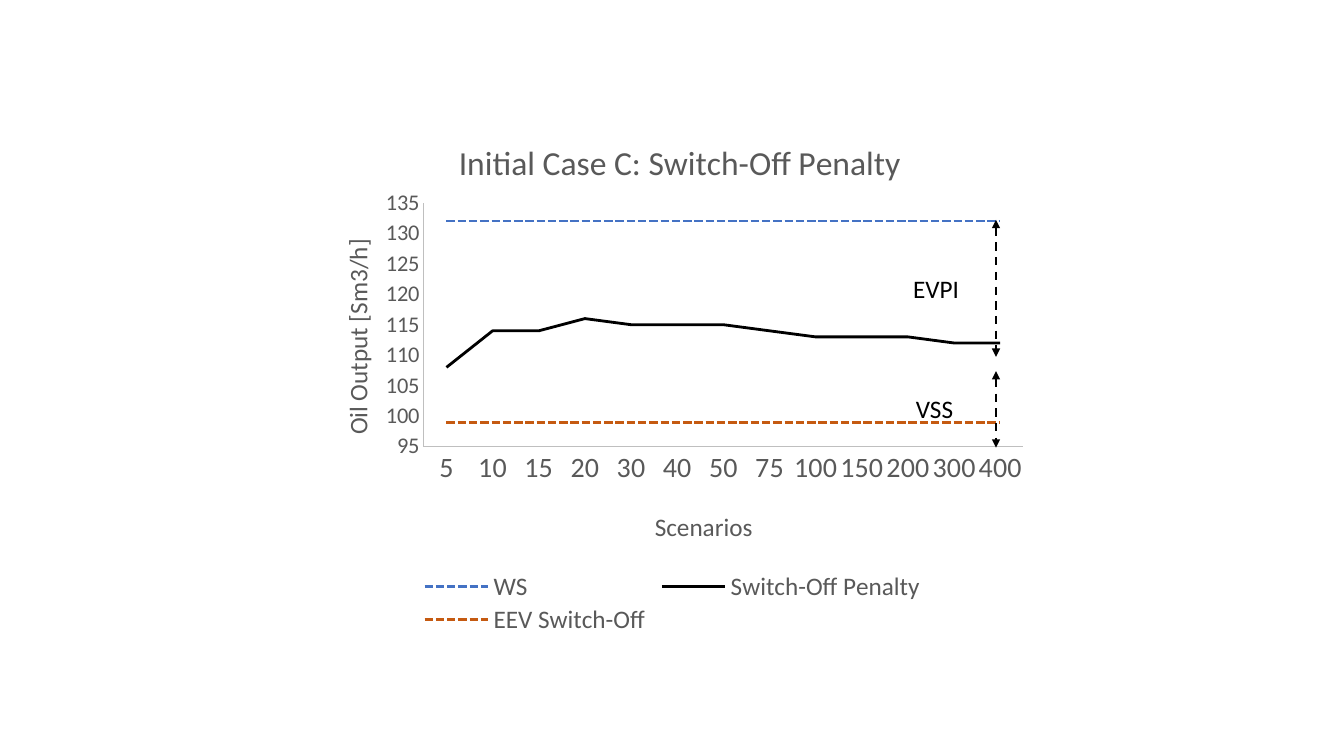
from lxml import etree
from pptx import Presentation
from pptx.chart.data import CategoryChartData
from pptx.dml.color import RGBColor
from pptx.enum.chart import XL_CHART_TYPE, XL_LEGEND_POSITION, XL_TICK_MARK
from pptx.enum.dml import MSO_LINE
from pptx.enum.shapes import MSO_CONNECTOR
from pptx.enum.text import MSO_ANCHOR
from pptx.oxml import parse_xml
from pptx.oxml.ns import nsdecls, qn
from pptx.util import Cm, Pt

LINE_CHART = XL_CHART_TYPE.LINE
BOTTOM = XL_LEGEND_POSITION.BOTTOM
NO_TICK = XL_TICK_MARK.NONE
SHORT_DASH, DASH = MSO_LINE.SQUARE_DOT, MSO_LINE.DASH
STRAIGHT = MSO_CONNECTOR.STRAIGHT
MIDDLE = MSO_ANCHOR.MIDDLE

# Content
FONT = "Calibri"
BLACK, GREY, AXIS_GREY = "000000", "595959", "BFBFBF"
SCENARIOS = [5, 10, 15, 20, 30, 40, 50, 75, 100, 150, 200, 300, 400]
PENALTY = [108, 114, 114, 116, 115, 115, 115, 114, 113, 113, 113, 112, 112]
SERIES = [  # name, values, colour, dash
    ("WS", [132] * len(SCENARIOS), "4472C4", SHORT_DASH),
    ("Switch-Off Penalty", PENALTY, BLACK, None),
    ("EEV Switch-Off", [99] * len(SCENARIOS), "C55A11", SHORT_DASH),
]
GAP_X = 25.1
GAPS = [  # label, label left and top, arrow top and bottom (cm)
    ("EVPI", 22.76, 6.73, 5.54, 8.99),
    ("VSS", 22.83, 9.75, 9.35, 11.28),
]


def colour(value):
    return RGBColor.from_string(value)


def style_font(font, size, value=GREY):
    font.name, font.size, font.bold = FONT, Pt(size), False
    font.color.rgb = colour(value)


def style_line(line, value, width, dash=None):
    line.color.rgb = colour(value)
    line.width = Pt(width)
    if dash is not None:
        line.dash_style = dash


def write(frame, text, size, value=GREY):
    run = frame.paragraphs[0].add_run()
    run.text = text
    style_font(run.font, size, value)


def place(element, index, x, y, w=None, h=None, inner=False):
    """Fix a chart part at fractions of the chart's size."""
    for old in element.findall(qn("c:layout")):
        element.remove(old)
    layout = parse_xml(f"<c:layout {nsdecls('c')}><c:manualLayout/></c:layout>")
    settings = [("layoutTarget", "inner" if inner else None),
                ("xMode", "edge"), ("yMode", "edge"),
                ("x", x), ("y", y), ("w", w), ("h", h)]
    for tag, setting in settings:
        if setting is not None:
            etree.SubElement(layout[0], qn("c:" + tag)).set("val", str(setting))
    element.insert(index, layout)


def add_title(title, text, size, x, y):
    write(title.text_frame, text, size)
    place(title._element, 1, x, y)


prs = Presentation()
prs.slide_width, prs.slide_height = Cm(33.87), Cm(19.05)
slide = prs.slides.add_slide(prs.slide_layouts[6])

# Chart and series
data = CategoryChartData()
data.categories = [str(count) for count in SCENARIOS]
for name, values, _, _ in SERIES:
    data.add_series(name, values)
chart = slide.shapes.add_chart(LINE_CHART, Cm(7.72), Cm(2.84), Cm(18.44),
                               Cm(13.36), data).chart
style_font(chart.font, 10, BLACK)
plot = chart.plots[0]
plot.vary_by_categories = False
for series, (_, _, value, dash) in zip(plot.series, SERIES):
    series.smooth = False
    style_line(series.format.line, value, 2, dash)
place(plot._element.getparent(), 0, 0.16, 0.17, 0.82, 0.46, inner=True)

# Axes and titles
scenarios, output = chart.category_axis, chart.value_axis
for axis, size in ((scenarios, 20), (output, 16)):
    axis.has_major_gridlines = False
    axis.major_tick_mark = axis.minor_tick_mark = NO_TICK
    style_font(axis.tick_labels.font, size)
    style_line(axis.format.line, AXIS_GREY, 0.75)
output.minimum_scale, output.maximum_scale, output.major_unit = 95, 135, 5
add_title(chart.chart_title, "Initial Case C: Switch-Off Penalty", 24, 0.2, 0.04)
add_title(scenarios.axis_title, "Scenarios", 18, 0.47, 0.74)
add_title(output.axis_title, "Oil Output [Sm3/h]", 18, 0.04, 0.23)
turn = output.axis_title.text_frame._txBody.find(qn("a:bodyPr"))
turn.set("rot", "-5400000")
turn.set("vert", "horz")

# Legend
chart.has_legend = True
chart.legend.position = BOTTOM
chart.legend.include_in_layout = False
style_font(chart.legend.font, 18)
place(chart.legend._element, 1, 0.15, 0.86, 0.7, 0.13)

# Gap arrows and their labels
for label, left, top, start, end in GAPS:
    arrow = slide.shapes.add_connector(STRAIGHT, Cm(GAP_X), Cm(start),
                                       Cm(GAP_X), Cm(end))
    style_line(arrow.line, BLACK, 1.5, DASH)
    for tip in ("a:headEnd", "a:tailEnd"):
        etree.SubElement(arrow.line._get_or_add_ln(), qn(tip)).set("type", "triangle")
    etree.SubElement(arrow._element.spPr, qn("a:effectLst"))
    frame = slide.shapes.add_textbox(Cm(left), Cm(top), Cm(1.73), Cm(1.09)).text_frame
    frame.word_wrap = True
    frame.vertical_anchor = MIDDLE
    write(frame, label, 18, BLACK)

prs.save("out.pptx")
